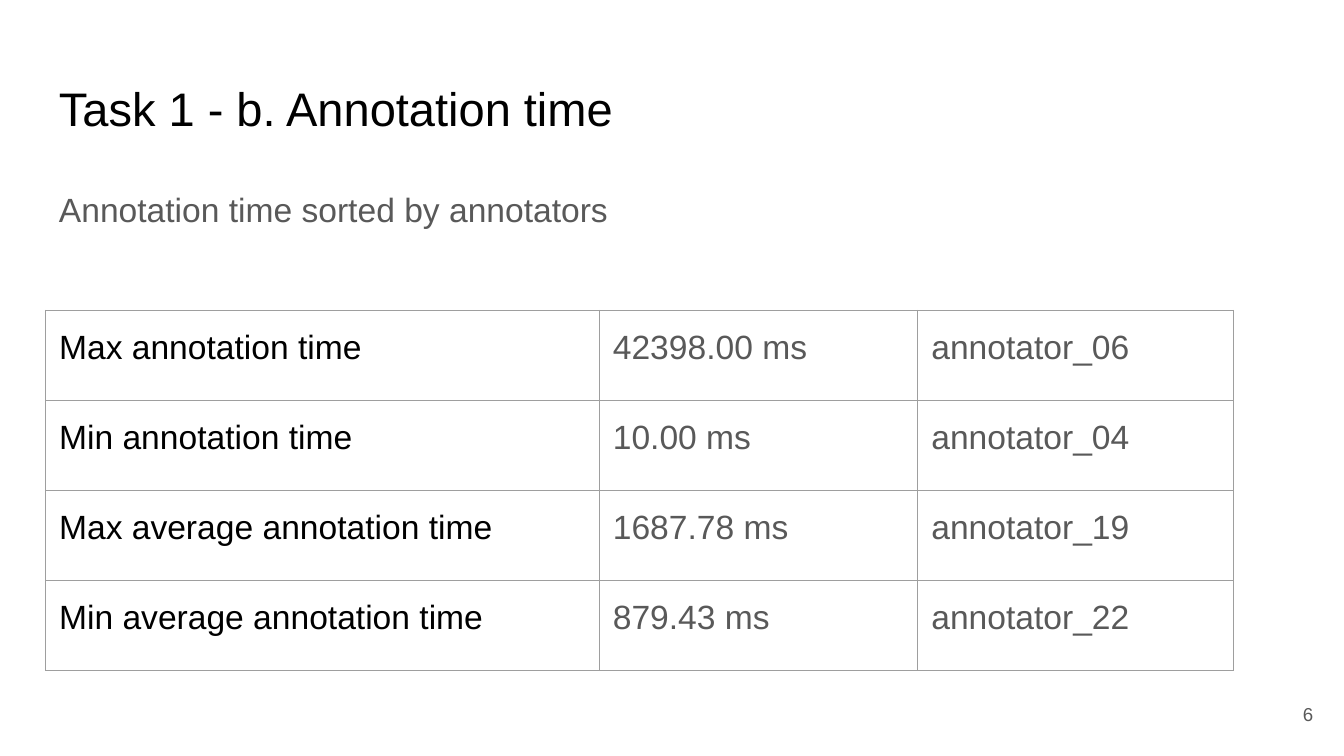
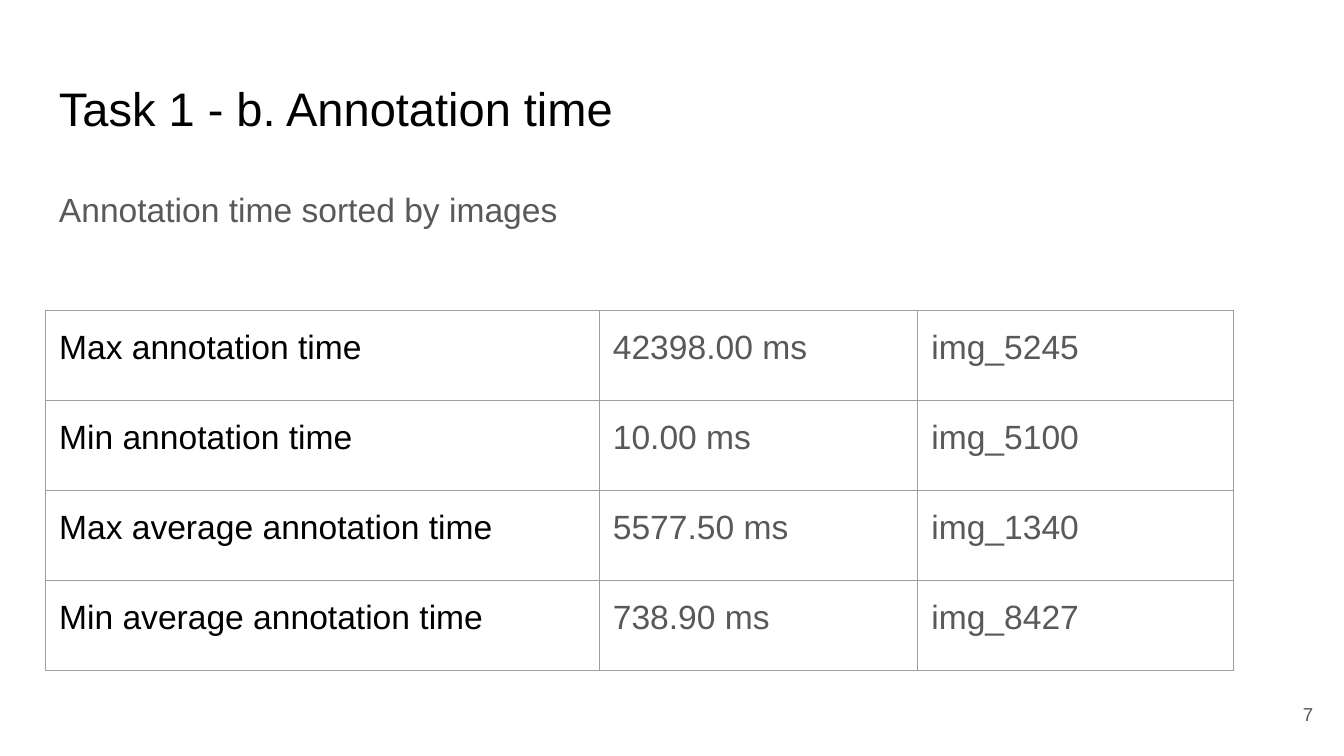
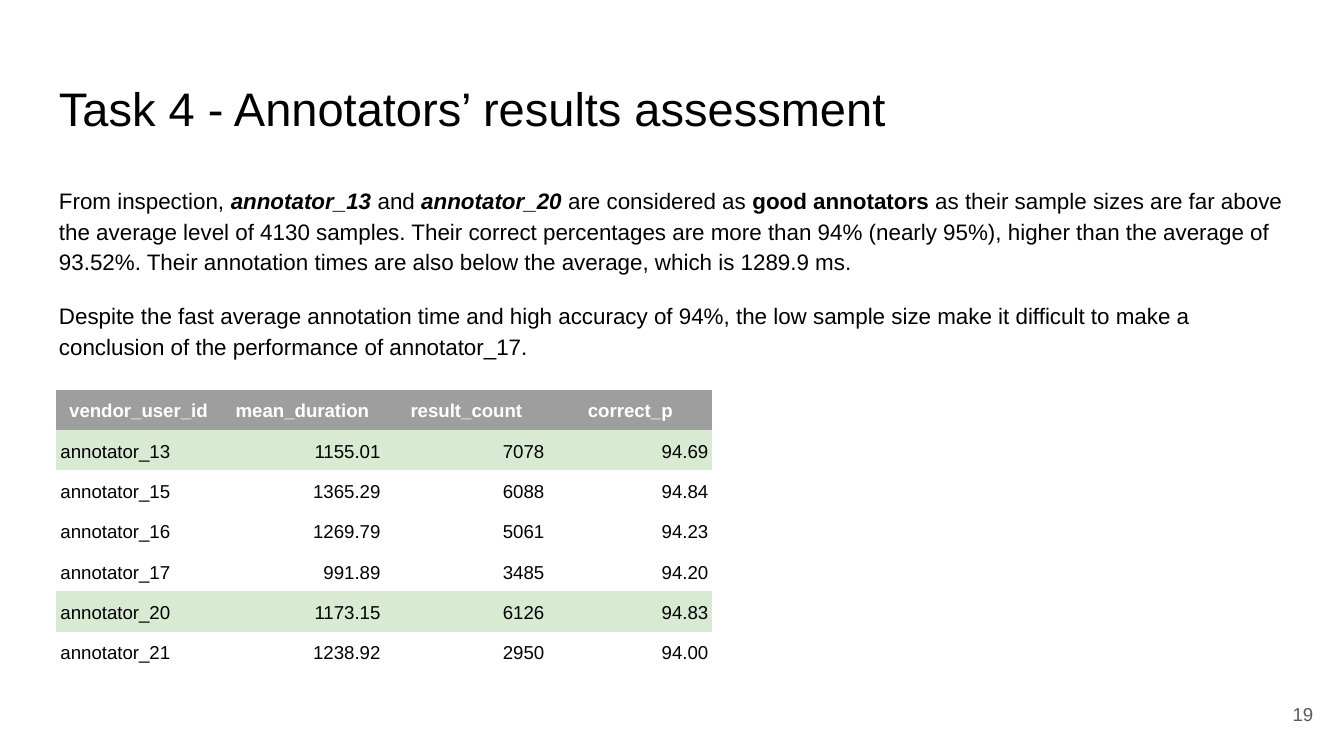
import pptx
import pptx.dml.color
import pptx.enum.text
import pptx.oxml.ns
import pptx.util
from lxml import etree

Inches = pptx.util.Inches
Pt = pptx.util.Pt
RGBColor = pptx.dml.color.RGBColor
Align = pptx.enum.text.PP_ALIGN
Anchor = pptx.enum.text.MSO_ANCHOR

BLACK = RGBColor(0x00, 0x00, 0x00)
WHITE = RGBColor(0xFF, 0xFF, 0xFF)
DARK_GRAY = RGBColor(0x59, 0x59, 0x59)
MID_GRAY = RGBColor(0x9E, 0x9E, 0x9E)
LIGHT_GREEN = RGBColor(0xD9, 0xEA, 0xD3)

FONT = "Arial"
SLIDE_WIDTH = 10
SLIDE_HEIGHT = SLIDE_WIDTH * 9 / 16
LEFT = 0.34
CONTENT_WIDTH = 9.32
LINE_SPACING = 1.15
GAP = Pt(12)

MEASURES = [
    "Max annotation time",
    "Min annotation time",
    "Max average annotation time",
    "Min average annotation time",
]
ANNOTATOR_TIMES = [
    ("42398.00 ms", "annotator_06"),
    ("10.00 ms", "annotator_04"),
    ("1687.78 ms", "annotator_19"),
    ("879.43 ms", "annotator_22"),
]
IMAGE_TIMES = [
    ("42398.00 ms", "img_5245"),
    ("10.00 ms", "img_5100"),
    ("5577.50 ms", "img_1340"),
    ("738.90 ms", "img_8427"),
]
RESULT_HEADER = ("vendor_user_id", "mean_duration", "result_count", "correct_p")
RESULTS = [
    ("annotator_13", "1155.01", "7078", "94.69"),
    ("annotator_15", "1365.29", "6088", "94.84"),
    ("annotator_16", "1269.79", "5061", "94.23"),
    ("annotator_17", "991.89", "3485", "94.20"),
    ("annotator_20", "1173.15", "6126", "94.83"),
    ("annotator_21", "1238.92", "2950", "94.00"),
]
GOOD_ANNOTATORS = ("annotator_13", "annotator_20")
STRONG = {"bold": True}
STRONG_ITALIC = {"bold": True, "italic": True}
ASSESSMENT = [
    [
        ("From inspection, ", {}),
        ("annotator_13", STRONG_ITALIC),
        (" and ", {}),
        ("annotator_20", STRONG_ITALIC),
        (" are considered as ", {}),
        ("good annotators", STRONG),
        (" as their sample sizes are far above the average level of 4130 samples. "
         "Their correct percentages are more than 94% (nearly 95%), higher than the "
         "average of 93.52%. Their annotation times are also below the average, "
         "which is 1289.9 ms.", {}),
    ],
    [
        ("Despite the fast average annotation time and high accuracy of 94%, the low "
         "sample size make it difficult to make a conclusion of the performance of "
         "annotator_17.", {}),
    ],
]


def apply_format(target, values):
    for name, value in values.items():
        setattr(target, name, value)


def write_paragraph(paragraph, runs, size, color, **paragraph_format):
    apply_format(paragraph, paragraph_format)
    for text, font_format in runs:
        run = paragraph.add_run()
        run.text = text
        apply_format(run.font, {"name": FONT, "size": Pt(size), **font_format})
        run.font.color.rgb = color


def add_text(slide, left, top, width, height, anchor=Anchor.TOP):
    box = slide.shapes.add_textbox(
        Inches(left), Inches(top), Inches(width), Inches(height))
    frame = box.text_frame
    margins = dict.fromkeys(
        ("margin_left", "margin_top", "margin_right", "margin_bottom"), Inches(0.1))
    apply_format(frame, {"word_wrap": True, "vertical_anchor": anchor, **margins})
    return frame


def add_page(presentation, title, number):
    slide = presentation.slides.add_slide(presentation.slide_layouts[6])
    slide.background.fill.solid()
    slide.background.fill.fore_color.rgb = WHITE
    title_frame = add_text(slide, LEFT, 0.49, CONTENT_WIDTH, 0.63)
    write_paragraph(title_frame.paragraphs[0], [(title, {})], 25.2, BLACK)
    body_frame = add_text(slide, LEFT, 1.26, CONTENT_WIDTH, 3.74)
    number_frame = add_text(slide, 9.27, 5.1, 0.6, 0.43, Anchor.MIDDLE)
    write_paragraph(number_frame.paragraphs[0], [(str(number), {})], 10, DARK_GRAY,
                    alignment=Align.RIGHT)
    return slide, body_frame


def set_borders(cell, color):
    properties = cell._tc.get_or_add_tcPr()
    for side in ("lnL", "lnR", "lnT", "lnB"):
        line = etree.SubElement(properties, pptx.oxml.ns.qn(f"a:{side}"),
                                w=str(Pt(0.75)))
        if color is None:
            etree.SubElement(line, pptx.oxml.ns.qn("a:noFill"))
        else:
            fill = etree.SubElement(line, pptx.oxml.ns.qn("a:solidFill"))
            etree.SubElement(fill, pptx.oxml.ns.qn("a:srgbClr"), val=str(color))


def add_table(slide, left, top, widths, row_height, row_count):
    table = slide.shapes.add_table(
        row_count, len(widths), Inches(left), Inches(top),
        Inches(sum(widths)), Inches(row_height * row_count)).table
    apply_format(table, {"first_row": False, "horz_banding": False})
    for column, width in zip(table.columns, widths):
        column.width = Inches(width)
    for row in table.rows:
        row.height = Inches(row_height)
    return table


def fill_cell(cell, text, size, color, margins, border=None, fill=None,
              anchor=Anchor.TOP, font_format=None, **paragraph_format):
    horizontal, vertical = (Inches(margin) for margin in margins)
    apply_format(cell, {
        "margin_left": horizontal, "margin_right": horizontal,
        "margin_top": vertical, "margin_bottom": vertical,
        "vertical_anchor": anchor,
    })
    set_borders(cell, border)
    if fill is None:
        cell.fill.background()
    else:
        cell.fill.solid()
        cell.fill.fore_color.rgb = fill
    write_paragraph(cell.text_frame.paragraphs[0], [(text, font_format or {})],
                    size, color, line_spacing=LINE_SPACING, **paragraph_format)


def add_time_page(presentation, number, subtitle, times):
    slide, body = add_page(presentation, "Task 1 - b. Annotation time", number)
    write_paragraph(body.paragraphs[0], [(subtitle, {})], 18, DARK_GRAY,
                    line_spacing=LINE_SPACING, space_after=GAP)
    table = add_table(slide, LEFT, 2.31, (4.12, 2.37, 2.35), 0.67, len(times))
    for row, (measure, values) in enumerate(zip(MEASURES, times)):
        for column, text in enumerate((measure, *values)):
            fill_cell(table.cell(row, column), text, 18,
                      DARK_GRAY if column else BLACK, (0.1, 0.1),
                      border=MID_GRAY, space_after=GAP)


def add_assessment_page(presentation, number):
    slide, body = add_page(
        presentation, "Task 4 - Annotators’ results assessment", number)
    for index, runs in enumerate(ASSESSMENT):
        paragraph = body.add_paragraph() if index else body.paragraphs[0]
        write_paragraph(paragraph, runs, 12, BLACK, line_spacing=LINE_SPACING,
                        space_before=GAP)
    body.paragraphs[-1].space_after = GAP

    rows = [RESULT_HEADER, *RESULTS]
    table = add_table(slide, 0.42, 2.9, [1.22] * len(RESULT_HEADER), 0.3, len(rows))
    for row, values in enumerate(rows):
        for column, text in enumerate(values):
            if row == 0:
                color, fill, alignment = WHITE, MID_GRAY, Align.CENTER
            else:
                color = BLACK
                fill = LIGHT_GREEN if values[0] in GOOD_ANNOTATORS else None
                alignment = Align.RIGHT if column else Align.LEFT
            fill_cell(table.cell(row, column), text, 10, color, (0.03, 0.02),
                      fill=fill, anchor=Anchor.MIDDLE,
                      font_format={"bold": row == 0}, alignment=alignment)


def main():
    presentation = pptx.Presentation()
    presentation.slide_width = Inches(SLIDE_WIDTH)
    presentation.slide_height = Inches(SLIDE_HEIGHT)
    add_time_page(presentation, 6, "Annotation time sorted by annotators",
                  ANNOTATOR_TIMES)
    add_time_page(presentation, 7, "Annotation time sorted by images", IMAGE_TIMES)
    add_assessment_page(presentation, 19)
    presentation.save("out.pptx")


if __name__ == "__main__":
    main()
